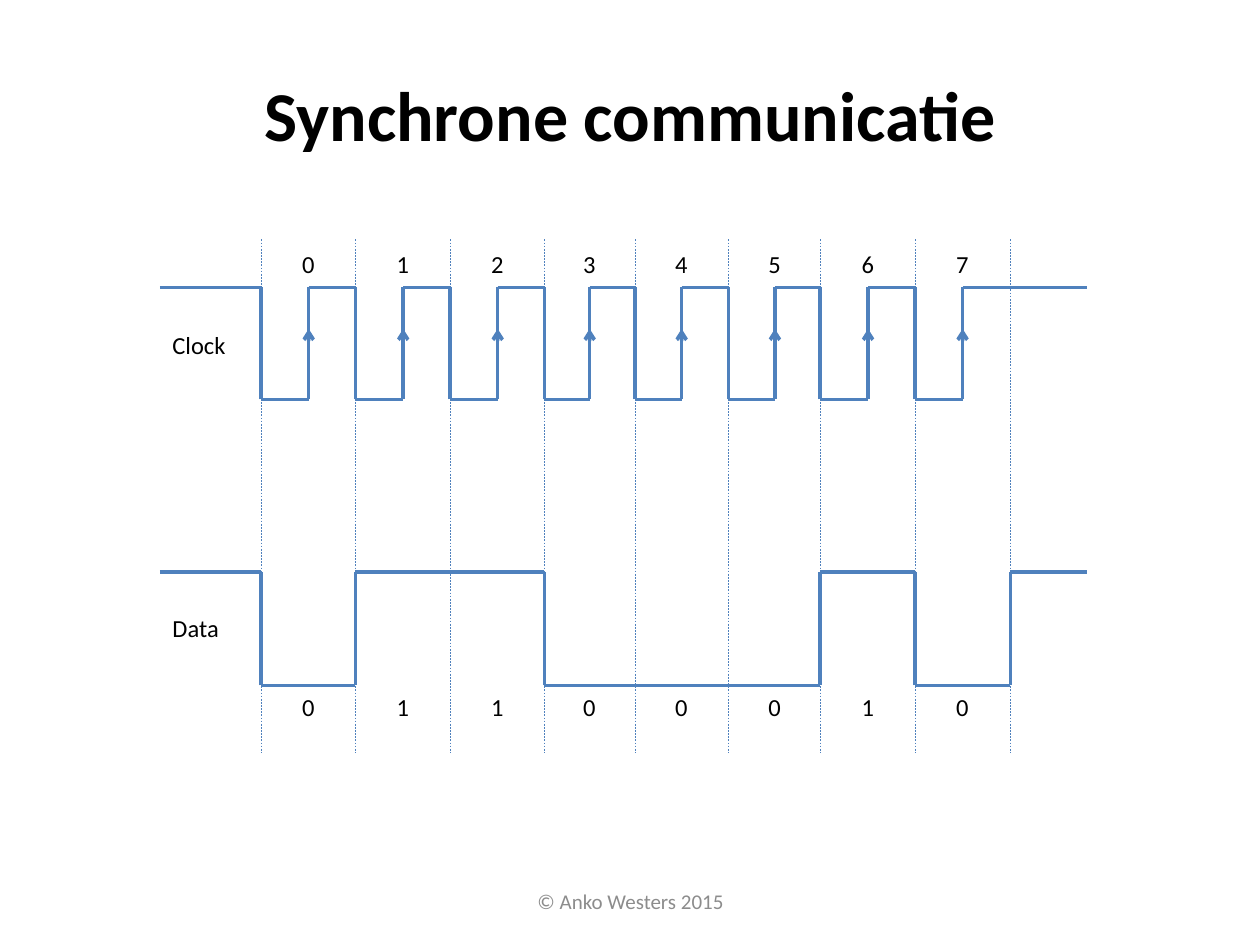
from collections import namedtuple
from dataclasses import dataclass
from itertools import groupby, pairwise

from lxml import etree
from pptx import Presentation
from pptx import util as u
from pptx.dml.color import RGBColor
from pptx.enum import dml, shapes, text
from pptx.oxml.ns import qn

PX = 9144  # 100 px to the inch
Box = namedtuple("Box", "left top width height")


@dataclass(frozen=True)
class Theme:
    font: str = "Calibri"
    ink: str = "000000"
    muted: str = "8C8C8C"
    signal: str = "4F81BD"
    title_size: int = 40
    label_size: int = 14
    footer_size: int = 12
    signal_width: float = 2
    guide_width: float = 0.25


THEME = Theme()
BIT_EDGES = [80, 155, 230, 305, 377, 451, 524, 599, 675]
BITS = [0, 1, 1, 0, 0, 0, 1, 0]


def add_text(page, box, words, size, color=THEME.ink, bold=False,
             align=text.PP_ALIGN.LEFT, anchor=text.MSO_ANCHOR.TOP, wrap=False):
    shape = page.shapes.add_textbox(*(n * PX for n in box))
    frame = shape.text_frame
    frame.word_wrap = wrap
    frame.vertical_anchor = anchor
    para = frame.paragraphs[0]
    para.text = words
    para.alignment = align
    para.font.name = THEME.font
    para.font.size = u.Pt(size)
    para.font.bold = bold
    para.font.color.rgb = RGBColor.from_string(color)


def add_line(page, start, end, width=THEME.signal_width, dashed=False, arrow=False):
    connector = page.shapes.add_connector(
        shapes.MSO_CONNECTOR.STRAIGHT, *(n * PX for n in (*start, *end)))
    line = connector.line
    line.width = u.Pt(width)
    line.color.rgb = RGBColor.from_string(THEME.signal)
    if dashed:
        line.dash_style = dml.MSO_LINE.DASH
    if arrow:
        etree.SubElement(line._get_or_add_ln(), qn("a:tailEnd"), type="arrow")
    etree.SubElement(connector._element.spPr, qn("a:effectLst"))


def add_centered(page, box, words, size, color, bold=False):
    add_text(page, box, words, size, color, bold, text.PP_ALIGN.CENTER,
             text.MSO_ANCHOR.MIDDLE, wrap=True)


def add_guides(page, box):
    for edge in BIT_EDGES:
        x = box.left + edge
        add_line(page, (x, box.top), (x, box.top + box.height),
                 THEME.guide_width, dashed=True)


def add_trace(page, box, levels, times):
    """Draw a square wave; levels[i] holds from times[i] to times[i + 1]."""
    heights = {1: box.top, 0: box.top + box.height}
    before = None
    spans = zip(levels, pairwise(times))
    for level, group in groupby(spans, key=lambda span: span[0]):
        held = [span[1] for span in group]
        start, end = box.left + held[0][0], box.left + held[-1][1]
        y = heights[level]
        if before is not None:
            add_line(page, (start, heights[0]), (start, heights[1]))
        add_line(page, (start, y), (end, y))
        before = level


def add_digits(page, box, digits, centers):
    for digit, center in zip(digits, centers):
        place = Box(box.left + center - 15, box.top, 30, box.height)
        add_text(page, place, str(digit), THEME.label_size)


def add_timing_diagram(page, box):
    left, top, width, _ = box
    rises = [(a + b + 1) // 2 for a, b in pairwise(BIT_EDGES)]
    add_guides(page, box)

    clock_times = [0, *sorted(BIT_EDGES[:-1] + rises), width]
    add_trace(page, Box(left, top + 38, width, 89), [1] + [0, 1] * len(BITS), clock_times)
    for rise in rises:
        x = left + rise
        add_line(page, (x, top + 88), (x, top + 71), arrow=True)
    add_digits(page, Box(left, top + 3, width, 34), range(len(BITS)), rises)
    add_text(page, Box(left, top + 67, 63, 34), "Clock", THEME.label_size)

    add_trace(page, Box(left, top + 264, width, 90), [1, *BITS, 1], [0, *BIT_EDGES, width])
    add_digits(page, Box(left, top + 354, width, 34), BITS, rises)
    add_text(page, Box(left, top + 292, 58, 34), "Data", THEME.label_size)


def main():
    deck = Presentation()
    deck.slide_width, deck.slide_height = 1000 * PX, 750 * PX
    page = deck.slides.add_slide(deck.slide_layouts[6])
    add_centered(page, Box(75, 43, 850, 94), "Synchrone communicatie",
                 THEME.title_size, THEME.ink, bold=True)
    add_timing_diagram(page, Box(127, 190, 736, 407))
    add_centered(page, Box(342, 695, 317, 40), "© Anko Westers 2015",
                 THEME.footer_size, THEME.muted)
    deck.save("out.pptx")


if __name__ == "__main__":
    main()
